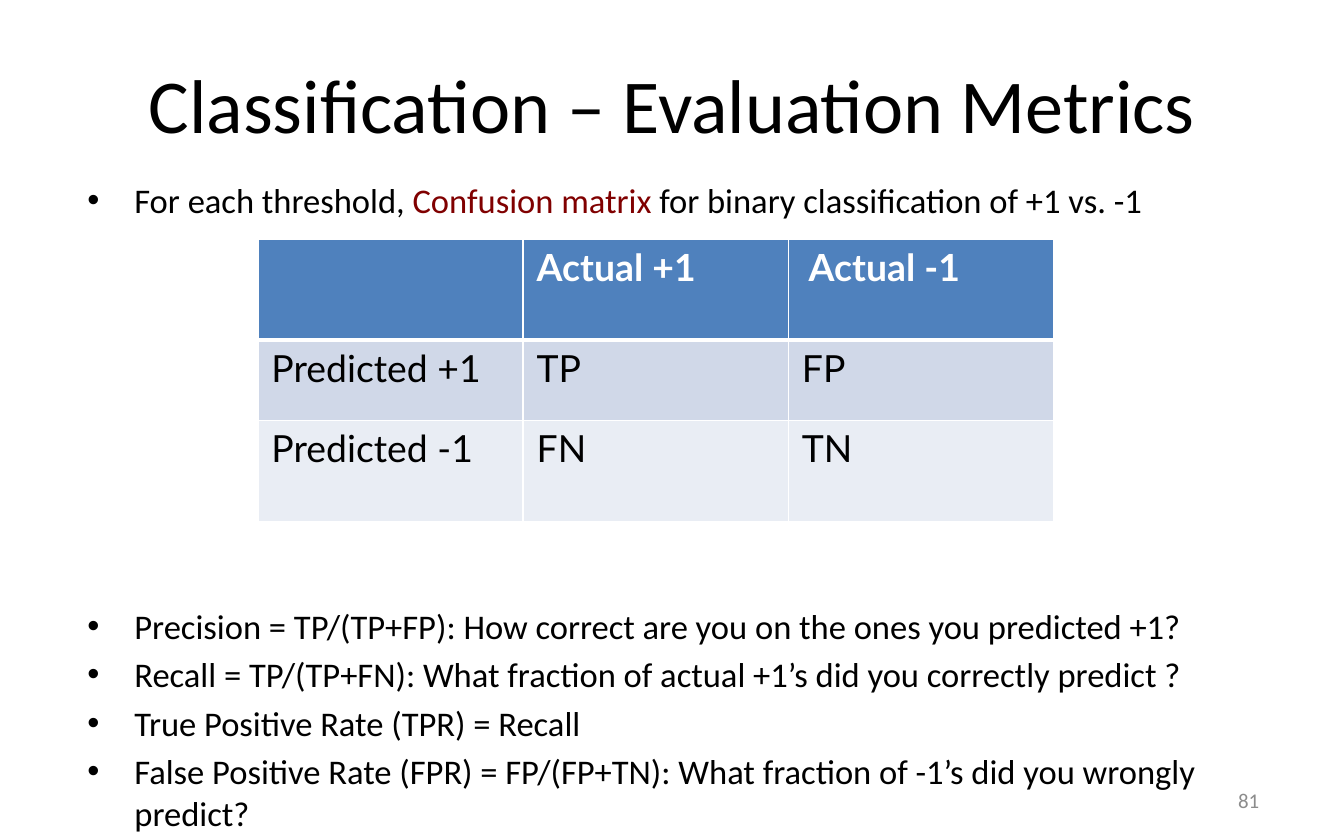
from lxml.etree import SubElement
from pptx import Presentation
from pptx.dml.color import RGBColor
from pptx.enum.text import MSO_ANCHOR, MSO_AUTO_SIZE, PP_ALIGN
from pptx.oxml.ns import qn
from pptx.util import Inches, Pt


def style(font, size, color, name="Calibri", bold=False):
    font.size = Pt(size)
    font.color.rgb = RGBColor.from_string(color)
    font.name = name
    font.bold = bold


def setup(shape, left, top, width, height, anchor):
    """Place a text shape and set its frame; return the frame."""
    shape.left, shape.top = Inches(left), Inches(top)
    shape.width, shape.height = Inches(width), Inches(height)
    frame = shape.text_frame
    frame.word_wrap = True
    frame.auto_size = MSO_AUTO_SIZE.NONE
    frame.vertical_anchor = anchor
    frame.margin_left = frame.margin_right = Inches(0.13)
    frame.margin_top = frame.margin_bottom = Inches(0.07)
    return frame


prs = Presentation()
prs.slide_width, prs.slide_height = Inches(10), Inches(6.25)
slide = prs.slides.add_slide(prs.slide_layouts[1])

# Title
title = setup(slide.shapes.title, 0.5, 0.25, 9, 1.04, MSO_ANCHOR.MIDDLE)
title.text = "Classification – Evaluation Metrics"
title.paragraphs[0].alignment = PP_ALIGN.CENTER
style(title.paragraphs[0].runs[0].font, 40.8, "000000")

# Bullets: the second one starts below the table
bullets = [
    (["For each threshold,", " Confusion matrix ",
      "for binary classification of +1 vs. -1"], 0),
    (["Precision = TP/(TP+FP): How correct are you on the ones you predicted +1?"], 206),
    (["Recall = TP/(TP+FN): What fraction of actual +1’s did you correctly predict ?"], 3.7),
    (["True Positive Rate (TPR) = Recall"], 3.7),
    (["False Positive Rate (FPR) = FP/(FP+TN): "
      "What fraction of -1’s did you wrongly predict?"], 3.7),
]
body = setup(slide.placeholders[1], 0.52, 1.26, 9.29, 4.79, MSO_ANCHOR.TOP)
for i, (parts, gap) in enumerate(bullets):
    para = body.add_paragraph() if i else body.paragraphs[0]
    para.space_before = Pt(gap)
    props = para._p.get_or_add_pPr()
    props.set("marL", str(Inches(0.35)))
    props.set("indent", str(Inches(-0.35)))
    SubElement(props, qn("a:buFont"), typeface="Arial")
    SubElement(props, qn("a:buChar"), char="•")
    for part in parts:
        run = para.add_run()
        run.text = part
        style(run.font, 18.5, "800000" if "Confusion" in part else "000000")

# Confusion matrix
rows = [
    ("", "Actual +1", "Actual -1"),
    ("Predicted +1", "TP", "FP"),
    ("Predicted -1", "FN", "TN"),
]
fills = ["4F81BD", "D0D8E8", "E9EDF4"]
heights = [0.75, 0.6, 0.75]
table = slide.shapes.add_table(
    3, 3, Inches(1.92), Inches(1.78), Inches(5.92), Inches(2.1)).table
for r, row in enumerate(rows):
    table.rows[r].height = Inches(heights[r])
    for c, text in enumerate(row):
        cell = table.cell(r, c)
        cell.text = text
        cell.margin_left = Inches(0.15 if (r, c) == (0, 2) else 0.1)
        cell.margin_right = Inches(0.1)
        cell.margin_top = cell.margin_bottom = Inches(0.04)
        color = "000000" if r else "FFFFFF"
        style(cell.text_frame.paragraphs[0].font, 20, color, "Lato", r == 0)
        props = cell._tc.get_or_add_tcPr()
        for side in "LRTB":
            thick = (r, side) in [(0, "B"), (1, "T")]
            line = SubElement(props, qn("a:ln" + side), w=str(Pt(3 if thick else 1)))
            fill = SubElement(line, qn("a:solidFill"))
            SubElement(fill, qn("a:srgbClr"), val="FFFFFF")
        cell.fill.solid()
        cell.fill.fore_color.rgb = RGBColor.from_string(fills[r])

# Slide number
box = slide.shapes.add_textbox(0, 0, 0, 0)
number = setup(box, 7.17, 5.79, 2.33, 0.33, MSO_ANCHOR.MIDDLE)
number.text = "81"
number.paragraphs[0].alignment = PP_ALIGN.RIGHT
style(number.paragraphs[0].runs[0].font, 11.2, "8C8C8C")

prs.save("out.pptx")
